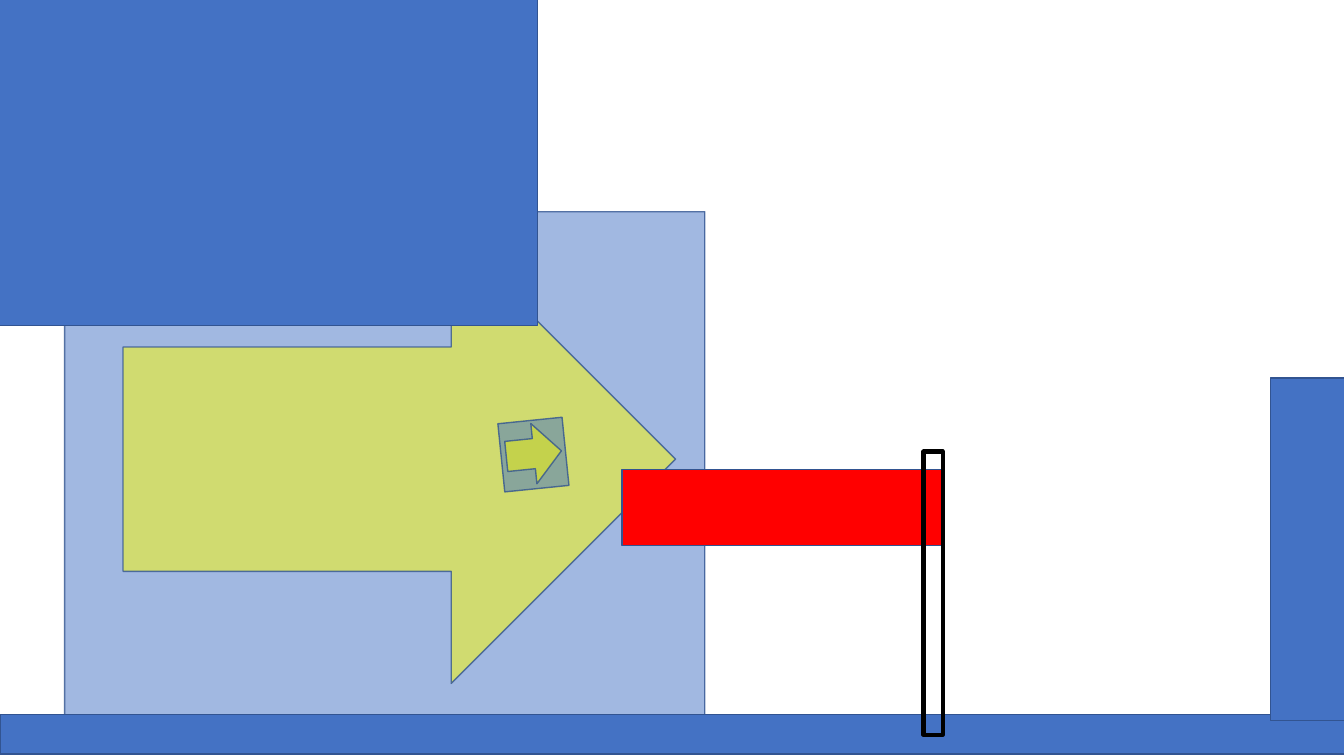
import pptx
import pptx.util
import pptx.dml.color
import pptx.enum.shapes
import pptx.oxml
import pptx.oxml.ns

Inches = pptx.util.Inches
RGBColor = pptx.dml.color.RGBColor
KIND = pptx.enum.shapes.MSO_SHAPE

BLUE = RGBColor(0x44, 0x72, 0xC4)
NAVY = RGBColor(0x32, 0x54, 0x91)
YELLOW = RGBColor(0xFF, 0xFF, 0x00)
RED = RGBColor(0xFF, 0x00, 0x00)
BLACK = RGBColor(0x00, 0x00, 0x00)


def fade(fill, share):
    """Set the opacity of a solid fill in percent."""
    color = fill._xPr.find(".//" + pptx.oxml.ns.qn("a:srgbClr"))
    alpha = pptx.oxml.parse_xml(
        f'<a:alpha {pptx.oxml.ns.nsdecls("a")} val="{share * 1000}"/>')
    color.append(alpha)


def draw(shapes, box, fill=BLUE, line=NAVY, width=1, kind=KIND.RECTANGLE, turn=0):
    """Add a preset shape with its fill, outline and rotation."""
    shape = shapes.add_shape(kind, *map(Inches, box))
    shape.shadow.inherit = False
    shape.rotation = turn
    if fill is None:
        shape.fill.background()
    else:
        shape.fill.solid()
        shape.fill.fore_color.rgb = fill
    shape.line.color.rgb = line
    shape.line.width = pptx.util.Pt(width)
    return shape


def sign(shapes, panel, arrow, turn):
    """Add a group of a see-through panel and the arrow on it."""
    group = shapes.add_group_shape().shapes
    for part in (
        draw(group, panel, turn=turn),
        draw(group, arrow, YELLOW, kind=KIND.LEFT_ARROW, turn=turn),
    ):
        fade(part.fill, 50)
        fade(part.line.fill, 80)


def main():
    """Build the slide and save it."""
    deck = pptx.Presentation()
    deck.slide_width, deck.slide_height = Inches(13.33), Inches(7.5)
    shapes = deck.slides.add_slide(deck.slide_layouts[6]).shapes

    sign(shapes, (0.64, 2.1, 6.35, 5.05), (1.22, 2.33, 5.48, 4.45), 180)
    draw(shapes, (6.17, 4.66, 3.18, 0.75), RED)
    draw(shapes, (-0.32, -0.17, 5.65, 3.4))
    sign(shapes, (4.97, 4.17, 0.64, 0.68), (5.02, 4.2, 0.55, 0.6), 174.2)
    draw(shapes, (0, 7.09, 13.42, 0.39))
    draw(shapes, (9.16, 4.48, 0.19, 2.81), None, BLACK, 3)
    draw(shapes, (12.6, 3.75, 0.76, 3.4))

    deck.save("out.pptx")


if __name__ == "__main__":
    main()
